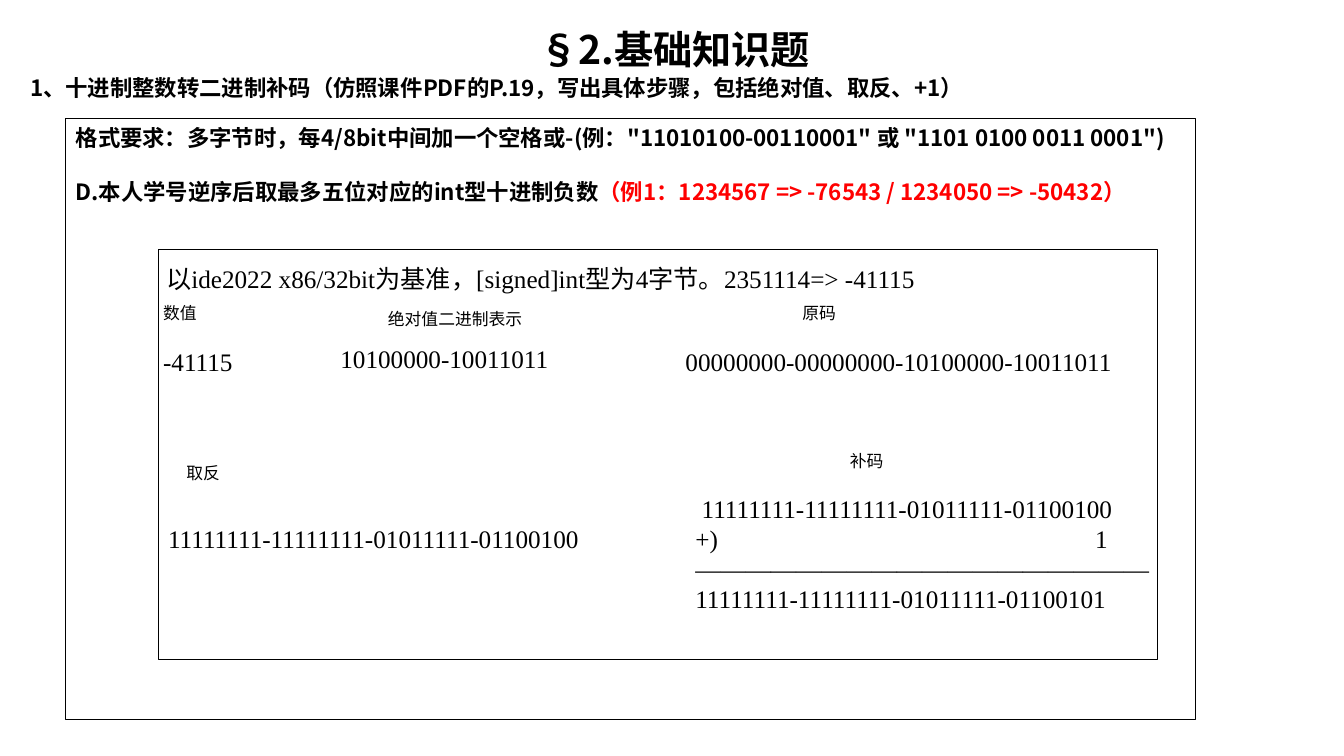
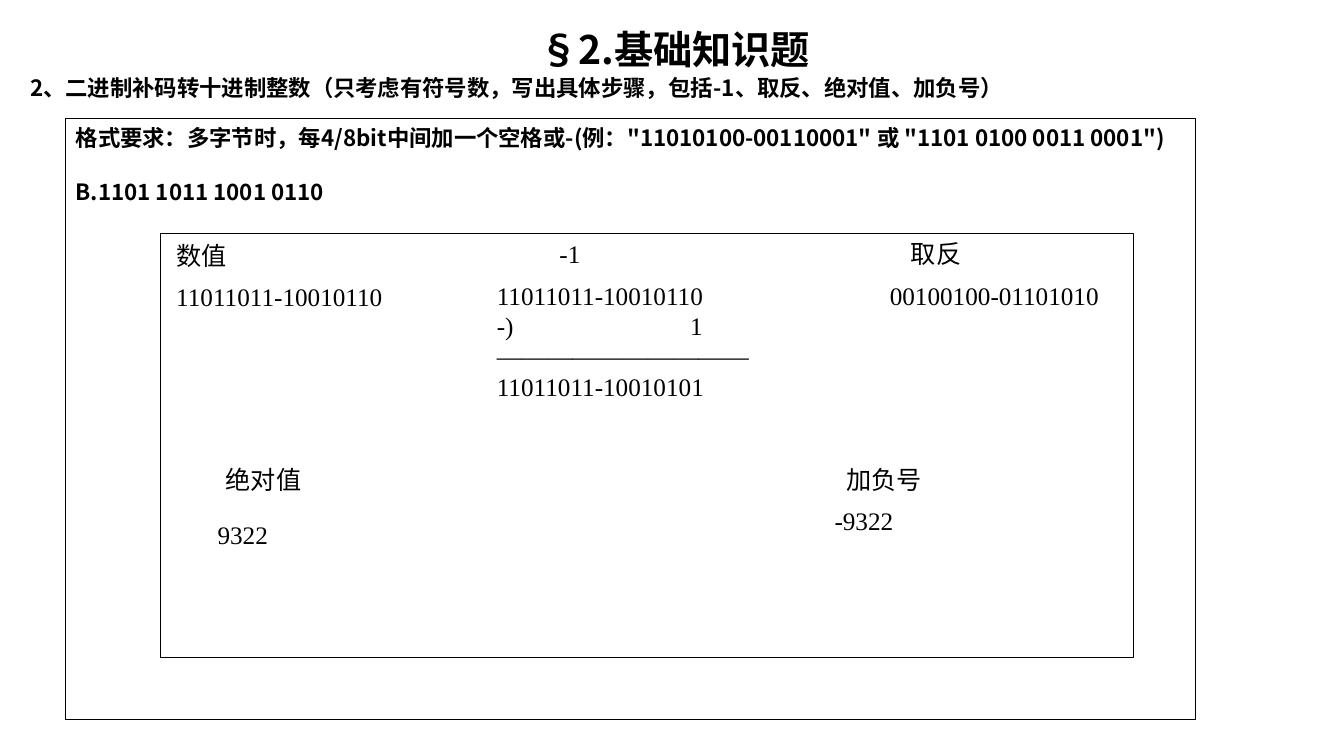
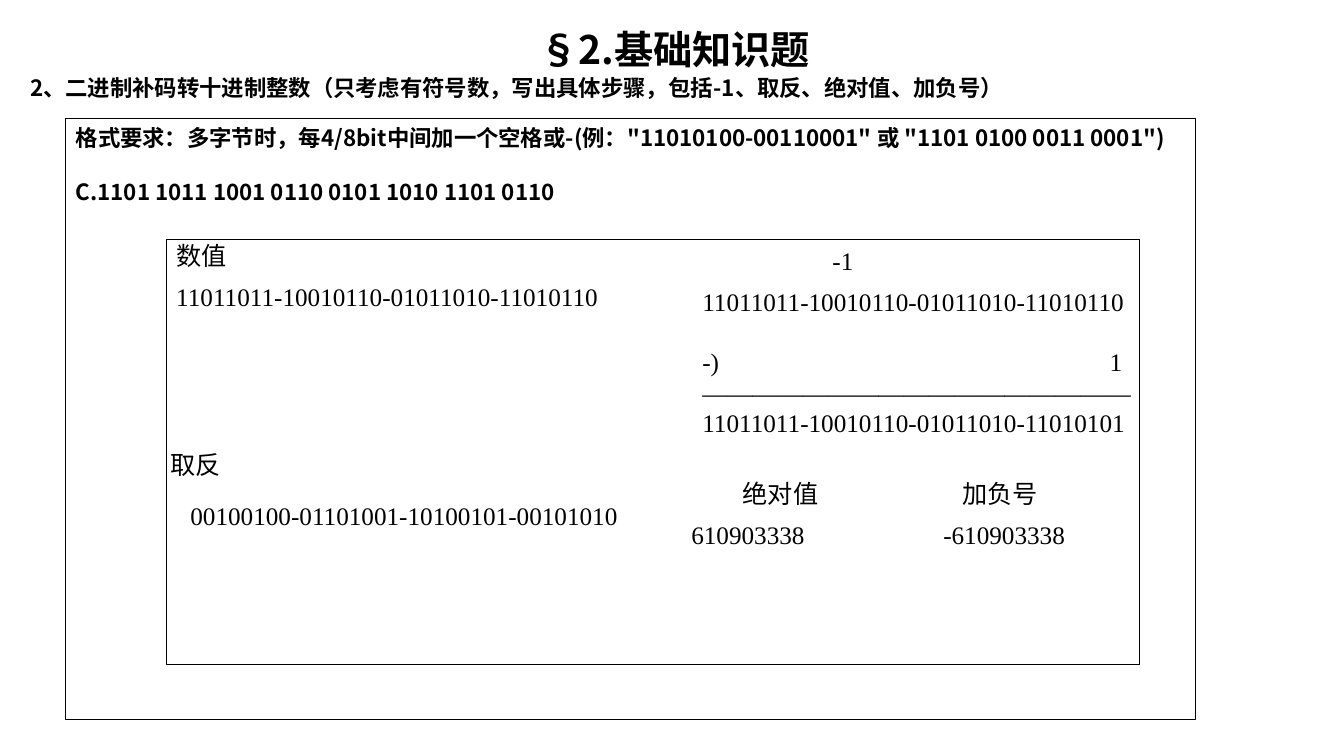
from lxml.etree import SubElement
from pptx import Presentation
from pptx.dml.color import RGBColor
from pptx.enum.shapes import MSO_SHAPE
from pptx.enum.text import MSO_ANCHOR, MSO_AUTO_SIZE, PP_ALIGN
from pptx.oxml.ns import qn
from pptx.util import Pt

BLACK, WHITE, RED = "000000", "FFFFFF", "FF0000"
HEADING_FONT, WORK_FONT = "Noto Sans CJK SC", "Times New Roman"
TITLE = "§2.基础知识题"
FORMAT_RULE = ('格式要求：多字节时，每4/8bit中间加一个空格或-(例：'
               '"11010100-00110001" 或 "1101 0100 0011 0001")')
TO_BINARY = "1、十进制整数转二进制补码（仿照课件PDF的P.19，写出具体步骤，包括绝对值、取反、+1）"
TO_DECIMAL = "2、二进制补码转十进制整数（只考虑有符号数，写出具体步骤，包括-1、取反、绝对值、加负号）"

QUESTION_BOX = (47, 85, 807, 429)
HEADING_LINE, SUM_LINE = 19.3, 21.6


def rgb(hex_string):
    return RGBColor.from_string(hex_string)


def format_run(run, size, font=WORK_FONT, bold=False, color=BLACK):
    run.font.size = Pt(size)
    run.font.name = font
    run.font.bold = bold
    run.font.color.rgb = rgb(color)
    if font == HEADING_FONT:
        SubElement(run.font._element, qn("a:ea")).set("typeface", font)


def format_heading(paragraph, size, line, color=BLACK):
    paragraph.line_spacing = Pt(line)
    paragraph.space_before = Pt(0)
    for run in paragraph.runs:
        format_run(run, size, HEADING_FONT, True, color)


def text_box(slide, left, top, width, height):
    frame = slide.shapes.add_textbox(
        Pt(left), Pt(top), Pt(width), Pt(height)).text_frame
    frame.word_wrap = True
    return frame


def outlined_box(slide, box, fill=None):
    shape = slide.shapes.add_shape(MSO_SHAPE.RECTANGLE, *map(Pt, box))
    shape.shadow.inherit = False
    if fill:
        shape.fill.solid()
        shape.fill.fore_color.rgb = rgb(fill)
    else:
        shape.fill.background()
    shape.line.color.rgb = rgb(BLACK)
    shape.line.width = Pt(0.75)
    return shape


def headings(slide, topic):
    title = slide.shapes.title
    title.left, title.top, title.width, title.height = map(Pt, (14.4, 14.4, 935, 41))
    frame = title.text_frame
    frame.text = TITLE
    frame.auto_size = MSO_AUTO_SIZE.NONE
    frame.vertical_anchor = MSO_ANCHOR.TOP
    frame.paragraphs[0].alignment = PP_ALIGN.CENTER
    format_heading(frame.paragraphs[0], 28, 33.6)

    topic_frame = text_box(slide, 14.4, 49.6, 935, 27)
    topic_frame.text = topic
    format_heading(topic_frame.paragraphs[0], 16, HEADING_LINE)


def question_panel(slide, box, question, example):
    frame = outlined_box(slide, box).text_frame
    frame.word_wrap = True
    frame.vertical_anchor = MSO_ANCHOR.TOP
    frame.text = FORMAT_RULE + "\n" + question
    for paragraph in frame.paragraphs:
        paragraph.alignment = PP_ALIGN.LEFT
        format_heading(paragraph, 16, HEADING_LINE)
    question_line = frame.paragraphs[1]
    question_line.space_before = Pt(HEADING_LINE)
    if example:
        run = question_line.add_run()
        run.text = example
        format_run(run, 16, HEADING_FONT, True, RED)


def column_sum(slide, left, top, first, sign, result, dashes, one_at,
               indent=0, gap=0):
    """Written addition or subtraction of 1, with the 1 flush right at one_at."""
    frame = text_box(slide, left, top, 345, 4 * SUM_LINE + gap + 8)
    frame.text = "\n".join([first, sign + ")\t1", "—" * dashes, result])
    for paragraph in frame.paragraphs:
        paragraph.line_spacing = Pt(SUM_LINE)
        format_run(paragraph.runs[0], 18)
    number, operand = frame.paragraphs[:2]
    number._p.get_or_add_pPr().set("marL", str(Pt(indent)))
    operand.space_before = Pt(gap)
    tabs = SubElement(operand._p.get_or_add_pPr(), qn("a:tabLst"))
    tab = SubElement(tabs, qn("a:tab"))
    tab.set("pos", str(Pt(one_at)))
    tab.set("algn", "r")


def working(slide, box, notes, sum_at, sum_parts):
    """Framed answer; notes and sum_at are offsets from the frame's corner."""
    outlined_box(slide, box, WHITE)
    left, top = box[:2]
    for x, y, text, size, width in notes:
        frame = text_box(slide, left + x, top + y, width, size + 11)
        frame.text = text
        format_run(frame.paragraphs[0].runs[0], size)
    column_sum(slide, left + sum_at[0], top + sum_at[1], **sum_parts)


def label(x, y, text, size=18):
    return x, y, text, size, 131


def value(x, y, text, width=290):
    return x, y, text, 18, width


EXERCISES = [
    dict(
        topic=TO_BINARY,
        question="D.本人学号逆序后取最多五位对应的int型十进制负数",
        example="（例1：1234567 => -76543 / 1234050 => -50432）",
        box=(113, 178.5, 714, 292.5),
        notes=[
            value(-1.4, 5.8, "以ide2022 x86/32bit为基准，[signed]int型为4字节。"
                             "2351114=> -41115", 703),
            label(-3.6, 34.5, "数值", 12), value(-3.6, 65.5, "-41115"),
            label(157, 38.2, "绝对值二进制表示", 12),
            value(123, 63.4, "10100000-10011011"),
            label(453, 34.5, "原码", 12),
            value(369.5, 65.5, "00000000-00000000-10100000-10011011", 345),
            label(13, 148.4, "取反", 12),
            value(0, 191.6, "11111111-11111111-01011111-01100100", 345),
            label(487, 139.7, "补码", 12),
        ],
        sum_at=(376.6, 170),
        sum_parts=dict(first="11111111-11111111-01011111-01100100", sign="+",
                       result="11111111-11111111-01011111-01100101",
                       dashes=18, one_at=294.6, indent=4.5),
    ),
    dict(
        topic=TO_DECIMAL,
        question="B.1101 1011 1001 0110",
        example="",
        box=(114.5, 167, 695.5, 303),
        notes=[
            label(4.3, 0.8, "数值"), value(4.3, 30.3, "11011011-10010110"),
            label(278, 0, "-1"),
            label(529, 0, "取反"), value(514, 29.6, "00100100-01101010"),
            label(39.6, 161.3, "绝对值"), value(33.8, 200.2, "9322"),
            label(483, 161.3, "加负号"), value(474.5, 190.1, "-9322"),
        ],
        sum_at=(233.3, 29.6),
        sum_parts=dict(first="11011011-10010110", sign="-",
                       result="11011011-10010101", dashes=10, one_at=147),
    ),
    dict(
        topic=TO_DECIMAL,
        question="C.1101 1011 1001 0110 0101 1010 1101 0110",
        example="",
        box=(118.8, 171.4, 695.5, 303),
        notes=[
            label(0, -3.6, "数值"),
            value(0, 25.9, "11011011-10010110-01011010-11010110", 345),
            label(468.7, 0, "-1"),
            label(-4.3, 146.1, "取反"),
            value(10.1, 182.1, "00100100-01101001-10100101-00101010", 345),
            label(404.6, 167, "绝对值"), value(367.9, 195.8, "610903338", 180),
            label(561.6, 167, "加负号"), value(547.9, 195.8, "-610903338", 180),
        ],
        sum_at=(375.8, 29.5),
        sum_parts=dict(first="11011011-10010110-01011010-11010110", sign="-",
                       result="11011011-10010110-01011010-11010101",
                       dashes=17, one_at=300, gap=SUM_LINE),
    ),
]


def exercise_slide(deck, topic, question, example, **answer):
    slide = deck.slides.add_slide(deck.slide_layouts[5])
    headings(slide, topic)
    question_panel(slide, QUESTION_BOX, question, example)
    working(slide, **answer)


def main():
    deck = Presentation()
    deck.slide_width, deck.slide_height = Pt(960), Pt(540)
    for exercise in EXERCISES:
        exercise_slide(deck, **exercise)
    deck.save("out.pptx")


if __name__ == "__main__":
    main()
